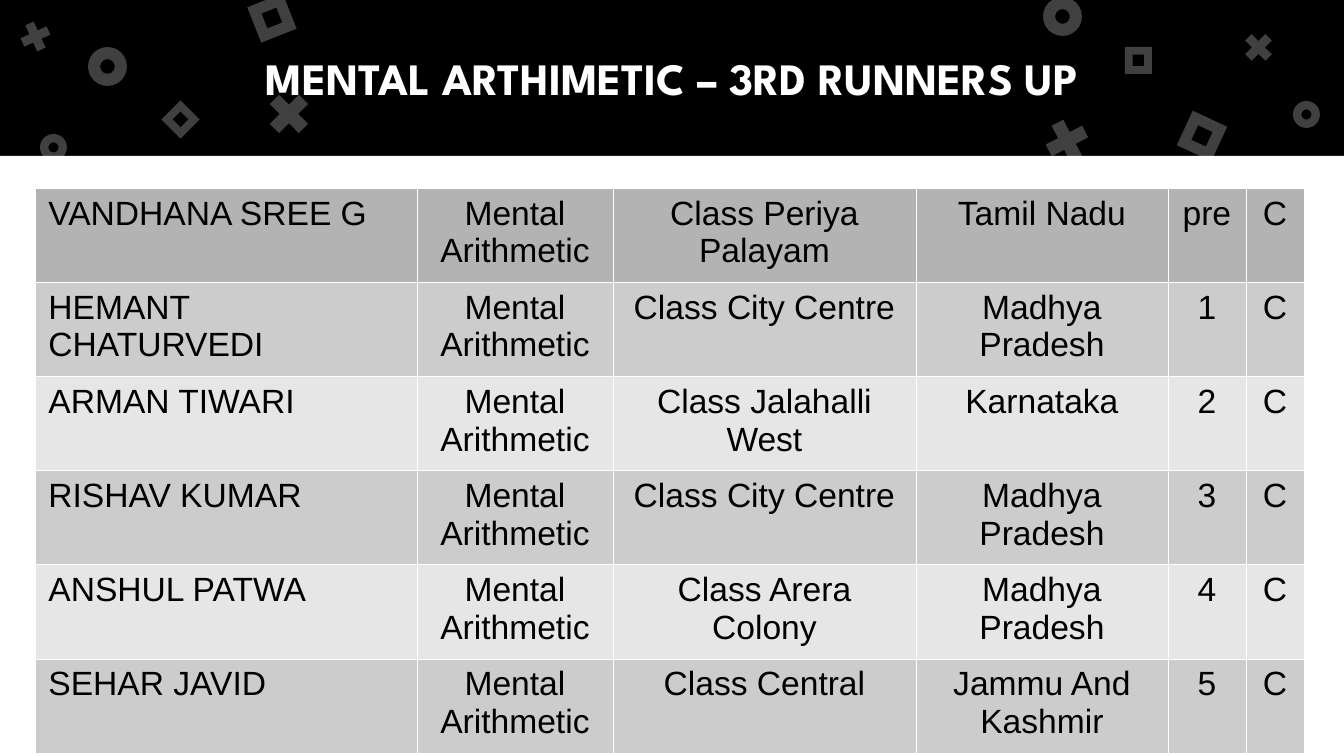
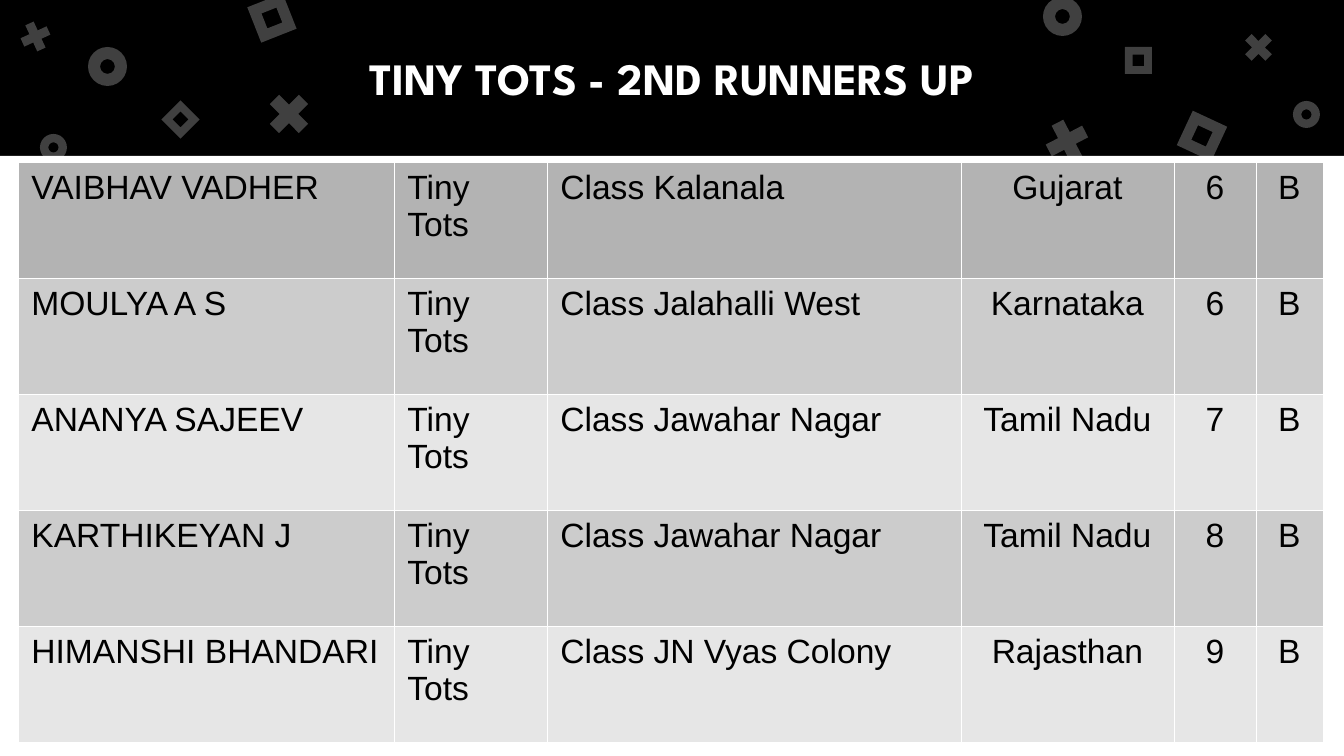
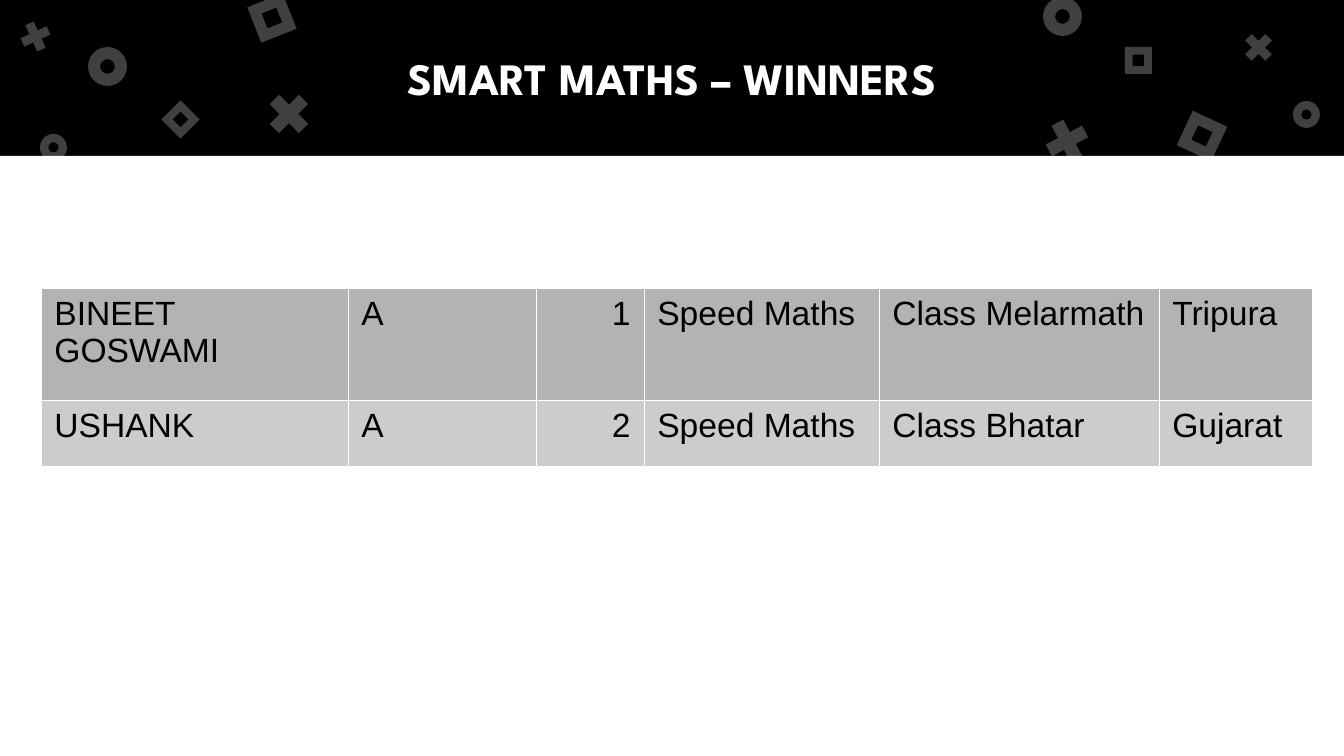
from lxml import etree
from pptx import Presentation
from pptx import util as u
from pptx.dml.color import RGBColor
from pptx.enum import shapes, text
from pptx.oxml import ns

WIDTH, HEIGHT, BAND = 1344, 756, 156
SCALE = 9144000 / WIDTH

BLACK = RGBColor(0x00, 0x00, 0x00)
WHITE = RGBColor(0xFF, 0xFF, 0xFF)
LIME = RGBColor(0x7B, 0xD1, 0x00)
TOP_GREY = RGBColor(0xB3, 0xB3, 0xB3)
MID_GREY = RGBColor(0xCC, 0xCC, 0xCC)
PALE_GREY = RGBColor(0xE6, 0xE6, 0xE6)

TITLE_FONT, TABLE_FONT = "League Spartan", "Arial"
ALIGN = {
    "l": text.PP_ALIGN.LEFT,
    "c": text.PP_ALIGN.CENTER,
    "r": text.PP_ALIGN.RIGHT,
}

RECT = shapes.MSO_SHAPE.RECTANGLE
RING = shapes.MSO_SHAPE.DONUT
CROSS = shapes.MSO_SHAPE.MATH_MULTIPLY
FRAME = shapes.MSO_SHAPE.FRAME
THICKNESS = {RING: 0.31, CROSS: 0.235, FRAME: 0.289}
CONFETTI = [
    (RING, 88, 47, 39, 0),
    (CROSS, 261, 86, 56, 0),
    (FRAME, 253, -1, 38, 338.4),
    (RING, 1043, -3, 39, 0),
    (CROSS, 1039, 113, 56, 17.5),
    (FRAME, 1183, 117, 38, 25),
    (RING, 40, 134, 27, 0),
    (CROSS, 16, 17, 39, 20.4),
    (FRAME, 167, 106, 27, 45),
    (RING, 1293, 101, 27, 0),
    (CROSS, 1239, 28, 39, 0),
    (FRAME, 1125, 47, 27, 0),
]

RUNNERS_UP_3 = [
    ("VANDHANA SREE G", "Mental Arithmetic", "Class Periya Palayam", "Tamil Nadu", "pre", "C"),
    ("HEMANT CHATURVEDI", "Mental Arithmetic", "Class City Centre", "Madhya Pradesh", "1", "C"),
    ("ARMAN TIWARI", "Mental Arithmetic", "Class Jalahalli West", "Karnataka", "2", "C"),
    ("RISHAV KUMAR", "Mental Arithmetic", "Class City Centre", "Madhya Pradesh", "3", "C"),
    ("ANSHUL PATWA", "Mental Arithmetic", "Class Arera Colony", "Madhya Pradesh", "4", "C"),
    ("SEHAR JAVID", "Mental Arithmetic", "Class Central", "Jammu And Kashmir", "5", "C"),
]
RUNNERS_UP_2 = [
    ("VAIBHAV VADHER", "Tiny Tots", "Class Kalanala", "Gujarat", "6", "B"),
    ("MOULYA A S", "Tiny Tots", "Class Jalahalli West", "Karnataka", "6", "B"),
    ("ANANYA SAJEEV", "Tiny Tots", "Class Jawahar Nagar", "Tamil Nadu", "7", "B"),
    ("KARTHIKEYAN J", "Tiny Tots", "Class Jawahar Nagar", "Tamil Nadu", "8", "B"),
    ("HIMANSHI BHANDARI", "Tiny Tots", "Class JN Vyas Colony", "Rajasthan", "9", "B"),
]
WINNERS = [
    ("BINEET GOSWAMI", "A", "1", "Speed Maths", "Class Melarmath", "Tripura"),
    ("USHANK", "A", "2", "Speed Maths", "Class Bhatar", "Gujarat"),
]


def px(length):
    return u.Emu(round(length * SCALE))


def add_block(page, kind, left, top, width, height, color):
    block = page.shapes.add_shape(kind, px(left), px(top), px(width), px(height))
    block.shadow.inherit = False
    block.fill.solid()
    block.fill.fore_color.rgb = color
    block.line.fill.background()
    return block


def add_confetti(page):
    for kind, left, top, size, angle in CONFETTI:
        piece = add_block(page, kind, left, top, size, size, WHITE)
        piece.adjustments[0] = THICKNESS[kind]
        piece.rotation = angle
        color = piece.fill._xPr.find(".//" + ns.qn("a:srgbClr"))
        etree.SubElement(color, ns.qn("a:alpha"), val="25000")


def write(para, words, align, font, size, color, bold=False):
    para.alignment = ALIGN[align]
    span = para.add_run()
    span.text = words
    span.font.name = font
    span.font.size = u.Pt(size)
    span.font.color.rgb = color
    span.font.bold = bold


def add_title(page, words):
    box = page.shapes.add_textbox(px(67), 0, px(1210), px(BAND))
    frame = box.text_frame
    frame.word_wrap = True
    frame.vertical_anchor = text.MSO_ANCHOR.MIDDLE
    frame.margin_top = frame.margin_bottom = u.Inches(0.1)
    write(frame.paragraphs[0], words, "c", TITLE_FONT, 24, WHITE, True)


def add_borders(cell):
    properties = cell._tc.get_or_add_tcPr()
    for side in ("lnL", "lnR", "lnT", "lnB"):
        line = etree.SubElement(properties, ns.qn("a:" + side), w=str(u.Pt(0.06)))
        fill = etree.SubElement(line, ns.qn("a:solidFill"))
        etree.SubElement(fill, ns.qn("a:srgbClr"), val=str(WHITE))


def row_color(index):
    if index == 0:
        return TOP_GREY
    return MID_GREY if index % 2 else PALE_GREY


def add_results(page, left, top, widths, heights, aligns, rows):
    table = page.shapes.add_table(
        len(rows), len(widths), px(left), px(top), px(sum(widths)), px(sum(heights))
    ).table
    table.first_row = table.horz_banding = False
    for column, width in zip(table.columns, widths):
        column.width = px(width)
    for index, (height, values) in enumerate(zip(heights, rows)):
        table.rows[index].height = px(height)
        for cell, words, align in zip(table.rows[index].cells, values, aligns):
            add_borders(cell)
            cell.fill.solid()
            cell.fill.fore_color.rgb = row_color(index)
            write(cell.text_frame.paragraphs[0], words, align, TABLE_FONT, 18, BLACK)


def add_page(deck, title):
    page = deck.slides.add_slide(deck.slide_layouts[6])
    add_block(page, RECT, 0, 0, WIDTH, BAND, BLACK)
    add_block(page, RECT, 0, BAND, WIDTH, HEIGHT - BAND, WHITE)
    add_confetti(page)
    add_title(page, title)
    return page


def main():
    deck = Presentation()
    deck.slide_width, deck.slide_height = px(WIDTH), px(HEIGHT)
    backdrop = deck.slide_master.background.fill
    backdrop.solid()
    backdrop.fore_color.rgb = LIME

    page = add_page(deck, "MENTAL ARTHIMETIC – 3RD RUNNERS UP")
    add_results(page, 35, 188, [382, 196, 303, 252, 78, 58], [89] * 6, "lccccc", RUNNERS_UP_3)

    page = add_page(deck, "TINY TOTS - 2ND RUNNERS UP")
    add_results(page, 18, 162, [376, 153, 414, 213, 82, 67], [116] * 5, "lllccc", RUNNERS_UP_2)

    page = add_page(deck, "SMART MATHS – WINNERS")
    add_results(page, 41, 288, [307, 188, 108, 235, 280, 153], [112, 66], "llrlll", WINNERS)

    deck.save("out.pptx")


if __name__ == "__main__":
    main()
